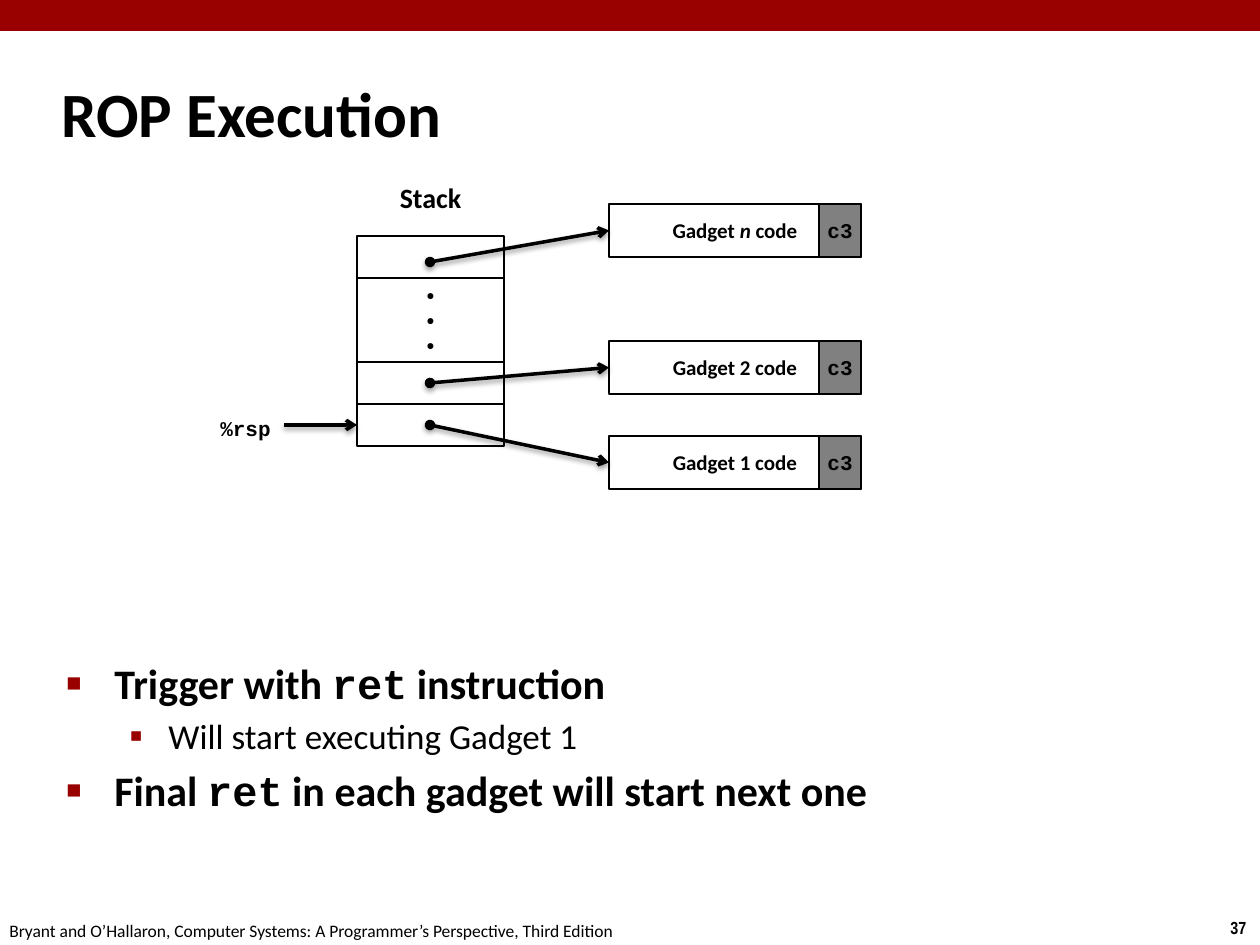
from lxml import etree
from pptx import Presentation
from pptx import util as u
from pptx.dml.color import RGBColor
from pptx.enum import shapes, text
from pptx.oxml import parse_xml
from pptx.oxml.ns import qn

PX = 914400 / 126
HUE = {"ink": "000000", "red": "990000", "gray": "808080"}
NS = 'xmlns:a="http://schemas.openxmlformats.org/drawingml/2006/main"'
SANS, MONO = "Calibri", "Courier New"
MID = text.MSO_ANCHOR.MIDDLE
LEFT, MIDST, RIGHT = text.PP_ALIGN.LEFT, text.PP_ALIGN.CENTER, text.PP_ALIGN.RIGHT


def emu(*vals):
    """Turn px lengths into EMU."""
    return [u.Emu(round(v * PX)) for v in vals]


def tint(name):
    """Give the named colour."""
    return RGBColor.from_string(HUE[name])


def style(para, size, face=SANS, bold=True, align=LEFT):
    """Format every run of a paragraph."""
    para.alignment = align
    for run in para.runs:
        font = run.font
        font.size, font.name, font.bold = u.Pt(size), face, bold
        font.color.rgb = tint("ink")


def label(slide, box, words, size, face=SANS, bold=True, align=LEFT, wrap=True, anchor=None):
    """Place a line of free text."""
    frame = slide.shapes.add_textbox(*emu(*box)).text_frame
    frame.word_wrap = wrap
    frame.vertical_anchor = anchor
    frame.text = words
    style(frame.paragraphs[0], size, face, bold, align)


def block(slide, box, fill=None, line=1):
    """Place a plain rectangle."""
    rect = slide.shapes.add_shape(shapes.MSO_SHAPE.RECTANGLE, *emu(*box))
    rect.shadow.inherit = False
    if fill:
        rect.fill.solid()
        rect.fill.fore_color.rgb = tint(fill)
    else:
        rect.fill.background()
    if line:
        rect.line.color.rgb = tint("ink")
        rect.line.width = u.Pt(line)
    else:
        rect.line.fill.background()
    rect.text_frame.vertical_anchor = MID
    return rect


def arrow(slide, start, goal, dot=True):
    """Draw an arrow from a point to the left side of a box."""
    link = slide.shapes.add_connector(shapes.MSO_CONNECTOR.STRAIGHT, *emu(*start, *start))
    link.end_connect(goal, 1)
    link.line.color.rgb = tint("ink")
    link.line.width = u.Pt(2)
    line = link.line._get_or_add_ln()
    if dot:
        etree.SubElement(line, qn("a:headEnd"), type="oval")
    etree.SubElement(line, qn("a:tailEnd"), type="arrow")
    link._element.spPr.append(parse_xml(
        f'<a:effectLst {NS}><a:outerShdw blurRad="39400" dist="20300" dir="5400000" '
        f'rotWithShape="0"><a:srgbClr val="{HUE["ink"]}"><a:alpha val="38000"/>'
        '</a:srgbClr></a:outerShdw></a:effectLst>'))


def gadget(slide, box, parts):
    """Draw a gadget with its closing c3 byte and return its frame."""
    x, y, w, h = box
    byte = block(slide, (x + w - 42, y, 42, h), "gray")
    frame = byte.text_frame
    frame.margin_left = frame.margin_right = 0
    frame.text = "c3"
    style(frame.paragraphs[0], 12, MONO, align=MIDST)
    code = block(slide, box, line=1.5)
    para = code.text_frame.paragraphs[0]
    for part in parts:
        para.add_run().text = part
    style(para, 12, align=MIDST)
    for run in para.runs:
        run.font.italic = run.text == "n"
    return code


def stack(slide, box):
    """Draw the stack cells from top to bottom and return them."""
    x, y, w, h = box
    unit = h // 5
    cells = [block(slide, (x, y + top * unit, w, rows * unit))
             for top, rows in ((0, 1), (1, 2), (3, 1), (4, 1))]
    frame = cells[1].text_frame
    frame.margin_top = frame.margin_bottom = 0
    frame.text = "•\n•\n•"
    for para in frame.paragraphs:
        style(para, 12, "Arial", align=MIDST)
    label(slide, (x, y - 62, w, 46), "Stack", 16, align=MIDST)
    return cells


def diagram(slide, box):
    """Draw the stack, the gadgets and the arrows between them."""
    x, y, w, h = box
    cells = stack(slide, (x + 221, y + 62, 147, 210))
    rows = ((262, 89, ("Gadget 1 code",), 251),
            (167, 89, ("Gadget 2 code",), 209),
            (30, 89, ("Gadget ", "n", " code"), 88))
    for top, _, parts, dot in rows:
        goal = gadget(slide, (x + w - 252, y + top, 252, 53), parts)
        arrow(slide, (x + 294, y + dot), goal)
    arrow(slide, (x + 148, y + 251), cells[-1], False)
    label(slide, (x, y + 233, 147, 42), "%rsp", 12, MONO, align=RIGHT, anchor=MID)


def points(slide, box):
    """Place the bulleted list."""
    frame = slide.shapes.add_textbox(*emu(*box)).text_frame
    frame.word_wrap = True
    items = ((0, ("Trigger with ", "ret", " instruction")),
             (1, ("Will start executing Gadget 1",)),
             (0, ("Final ", "ret", " in each gadget will start next one")))
    looks = ((48, 48, "■", 60, 24), (102, 39, "▪", 110, 20))
    for num, (deep, parts) in enumerate(items):
        edge, hang, mark, scale, size = looks[deep]
        para = frame.paragraphs[0] if num == 0 else frame.add_paragraph()
        para.level = deep
        if num:
            para.space_before = u.Pt(size * 0.2)
        props = para._p.get_or_add_pPr()
        left, back = emu(edge, -hang)
        props.set("marL", str(left))
        props.set("indent", str(back))
        for xml in (f'<a:buClr {NS}><a:srgbClr val="{HUE["red"]}"/></a:buClr>',
                    f'<a:buSzPct {NS} val="{scale * 1000}"/>',
                    f'<a:buFont {NS} typeface="Arial"/>',
                    f'<a:buChar {NS} char="{mark}"/>'):
            props.append(parse_xml(xml))
        for part in parts:
            para.add_run().text = part
        style(para, size, bold=deep == 0)
        for run in para.runs:
            if run.text == "ret":
                run.font.name = MONO


def footer(slide, box):
    """Place the source line and the page number."""
    x, y, w, h = box
    label(slide, (x + w - 42, y, 42, h), "37", 10, "Arial Narrow", wrap=False)
    label(slide, (x - 3, y + 3, 640, h),
          "Bryant and O’Hallaron, Computer Systems: A Programmer’s Perspective, Third Edition",
          10, bold=False, wrap=False)


def main():
    """Build the slide."""
    deck = Presentation()
    deck.slide_width, deck.slide_height = emu(1260, 945)
    slide = deck.slides.add_slide(deck.slide_layouts[6])
    block(slide, (0, 0, 1260, 31), "red", 0)
    footer(slide, (0, 911, 1260, 34))
    label(slide, (49, 60, 1046, 105), "ROP Execution", 36, anchor=MID)
    points(slide, (54, 651, 1089, 222))
    diagram(slide, (136, 174, 725, 315))
    deck.save("out.pptx")


if __name__ == "__main__":
    main()
